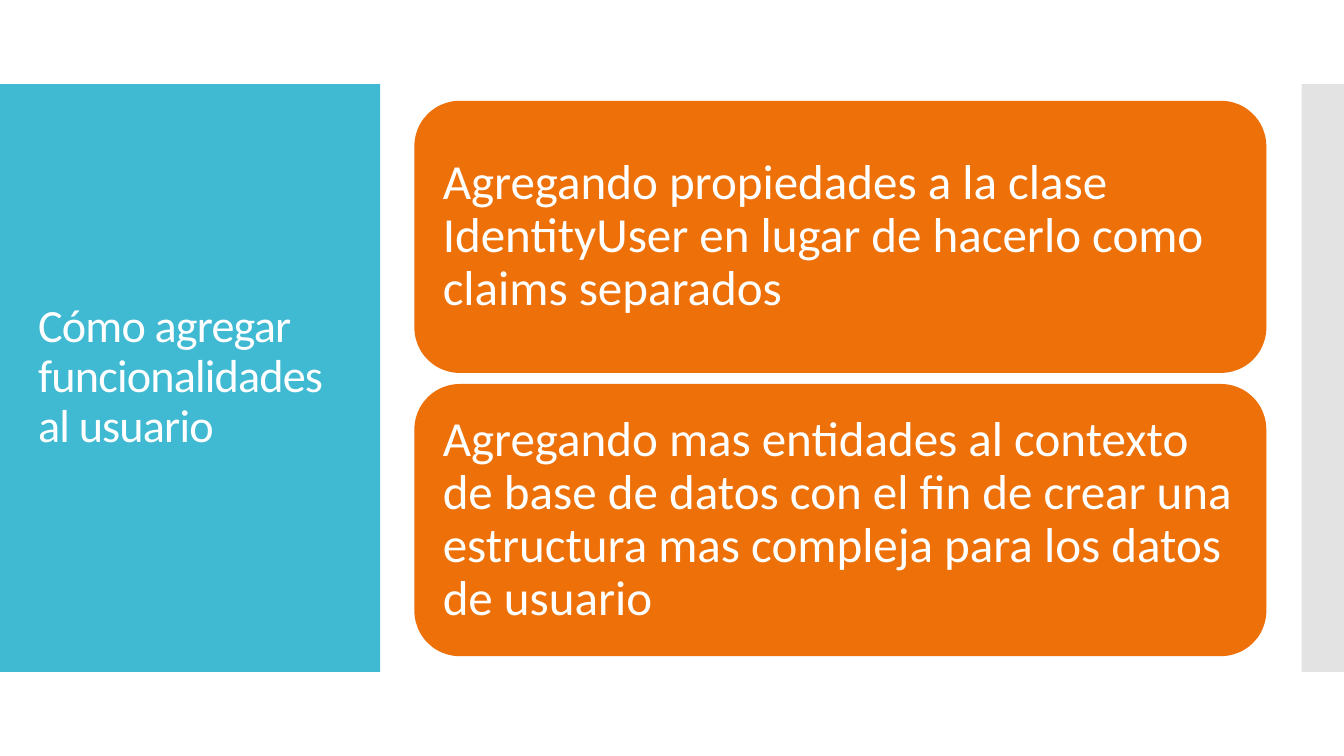
"""Builds a slide on two ways of adding user features in an identity system."""
import pptx
import pptx.dml.color
import pptx.enum.shapes
import pptx.enum.text
import pptx.oxml.ns
import pptx.util
from lxml import etree

Inches = pptx.util.Inches
RGBColor = pptx.dml.color.RGBColor
SHAPES = pptx.enum.shapes.MSO_SHAPE

TEAL = RGBColor(0x40, 0xBA, 0xD2)
ORANGE = RGBColor(0xEE, 0x70, 0x08)
GREY = RGBColor(0xC8, 0xC8, 0xC8)
WHITE = RGBColor(0xFF, 0xFF, 0xFF)

WIDTH, HEIGHT = 13.33, 7.5
BAND_TOP, BAND_HEIGHT = HEIGHT / 9, HEIGHT * 7 / 9
PANEL_WIDTH, STRIP_WIDTH = 3.77, 0.42
CARD_LEFT, CARD_TOP, CARD_WIDTH, CARD_HEIGHT = 4.11, 1, 8.45, 2.7
CARD_PITCH = CARD_HEIGHT + 0.11

deck = pptx.Presentation()
deck.slide_width, deck.slide_height = Inches(WIDTH), Inches(HEIGHT)
slide = deck.slides.add_slide(deck.slide_layouts[6])


def add_block(preset, left, top, width, height, color):
    block = slide.shapes.add_shape(
        preset, Inches(left), Inches(top), Inches(width), Inches(height))
    block.shadow.inherit = False
    block.fill.solid()
    block.fill.fore_color.rgb = color
    block.line.fill.background()
    return block


def write(holder, wording, size, inset):
    frame = holder.text_frame
    frame.word_wrap = True
    frame.vertical_anchor = pptx.enum.text.MSO_ANCHOR.MIDDLE
    frame.margin_left = frame.margin_right = Inches(inset)
    frame.margin_top = frame.margin_bottom = Inches(inset)
    paragraph = frame.paragraphs[0]
    paragraph.alignment = pptx.enum.text.PP_ALIGN.LEFT
    paragraph.line_spacing = 0.9
    run = paragraph.add_run()
    run.text = wording
    run.font.name = "Calibri"
    run.font.size = pptx.util.Pt(size)
    run.font.color.rgb = WHITE
    return run


add_block(SHAPES.RECTANGLE, 0, BAND_TOP, PANEL_WIDTH, BAND_HEIGHT, TEAL)
side_strip = add_block(SHAPES.RECTANGLE, WIDTH - STRIP_WIDTH, BAND_TOP,
                       STRIP_WIDTH, BAND_HEIGHT, GREY)
strip_color = side_strip.fill._xPr.find(".//" + pptx.oxml.ns.qn("a:srgbClr"))
etree.SubElement(strip_color, pptx.oxml.ns.qn("a:alpha"), val="50000")

title = slide.shapes.add_textbox(Inches(0.28), Inches(1.23), Inches(3.22), Inches(5.03))
title_run = write(title, "Cómo agregar funcionalidades al usuario", 33, 0.1)
title_run.font._element.set("spc", "-60")

options = [
    "Agregando propiedades a la clase IdentityUser en lugar de hacerlo como "
    "claims separados",
    "Agregando mas entidades al contexto de base de datos con el fin de crear "
    "una estructura mas compleja para los datos de usuario",
]
for row, option in enumerate(options):
    card = add_block(SHAPES.ROUNDED_RECTANGLE, CARD_LEFT, CARD_TOP + row * CARD_PITCH,
                     CARD_WIDTH, CARD_HEIGHT, ORANGE)
    write(card, option, 35, 0.15)

deck.save("out.pptx")
